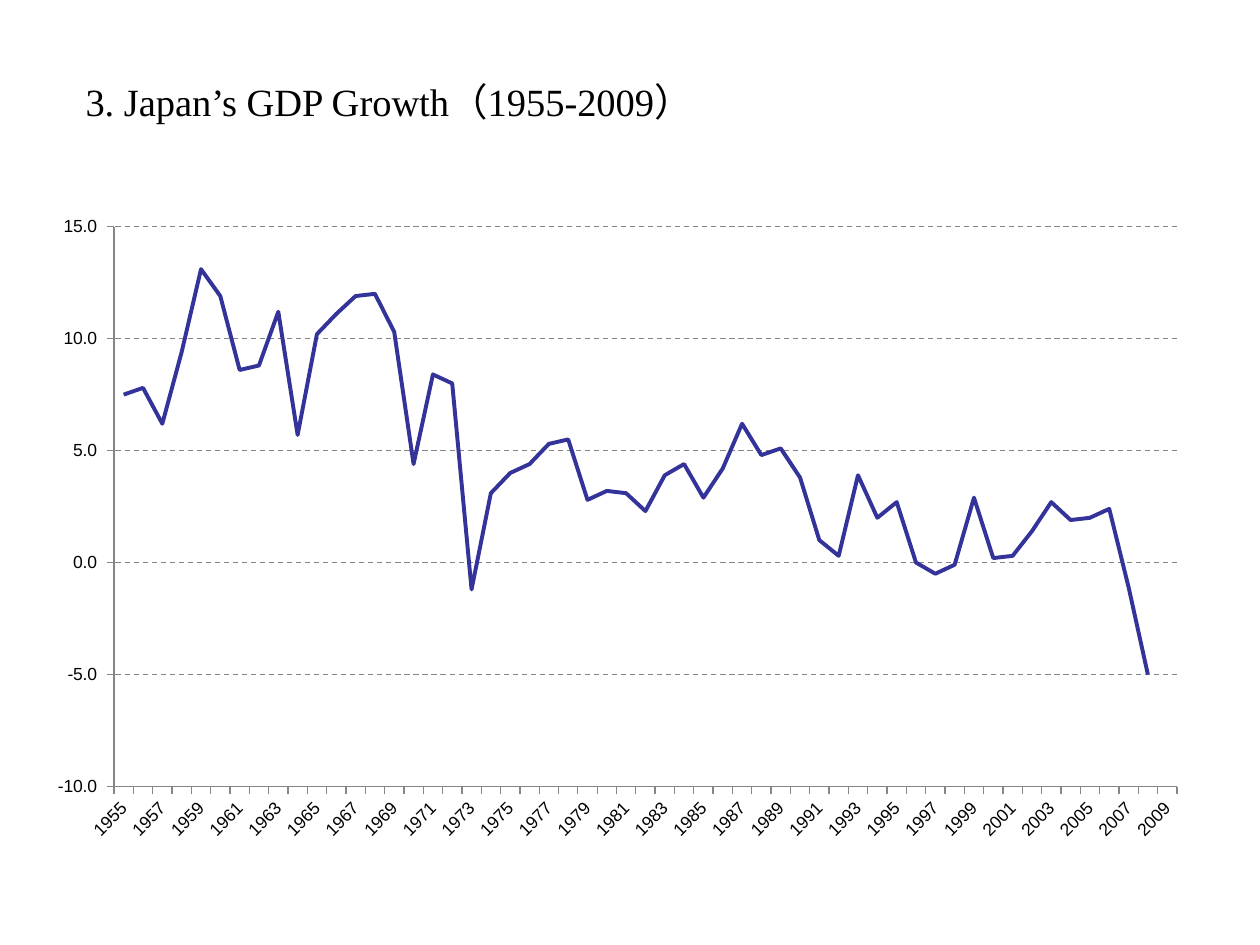
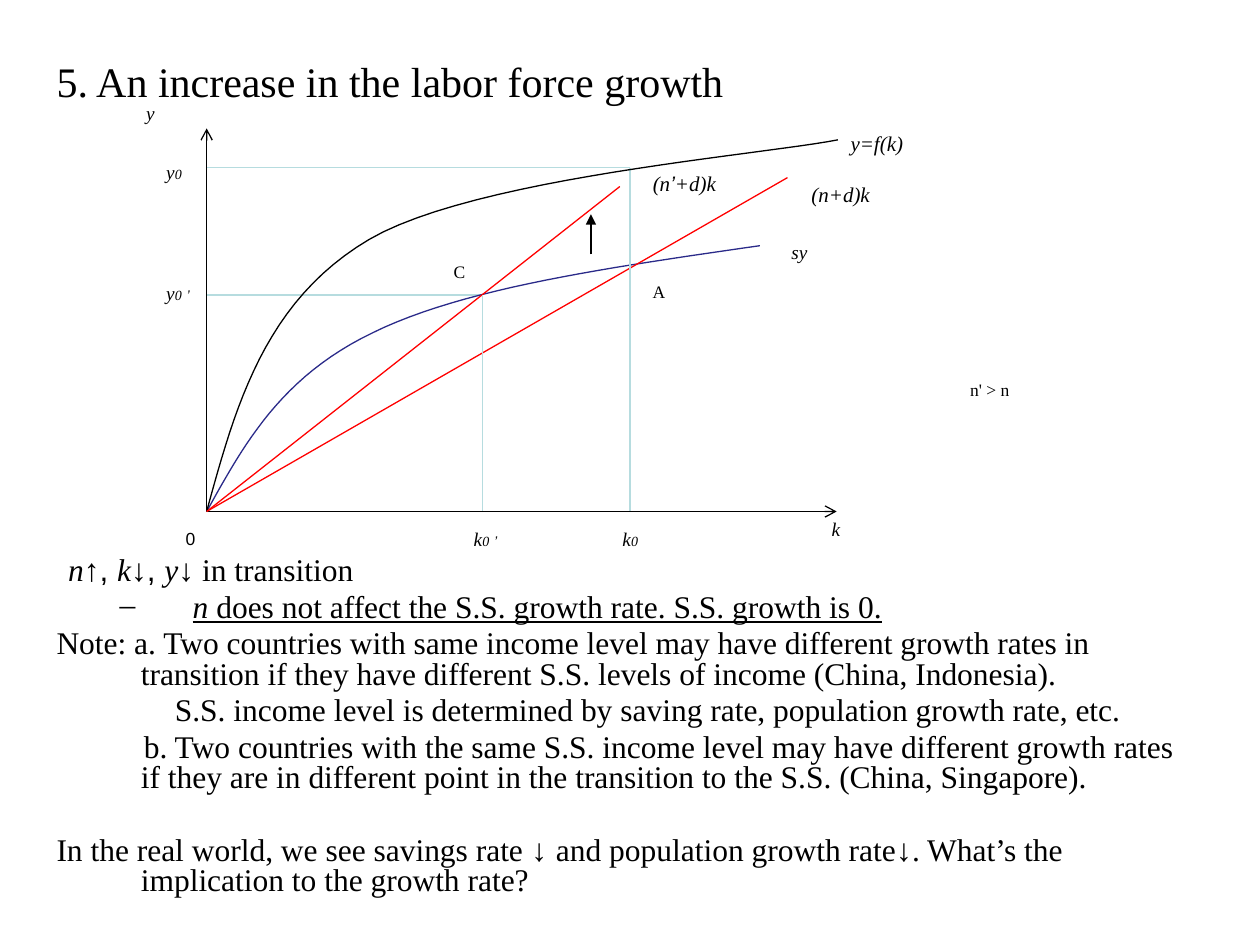
from dataclasses import dataclass
from typing import NamedTuple

from lxml.etree import SubElement
from pptx import Presentation
from pptx.chart.data import CategoryChartData
from pptx.dml.color import RGBColor
from pptx.enum.chart import XL_AXIS_CROSSES, XL_CHART_TYPE, XL_MARKER_STYLE, XL_TICK_LABEL_POSITION, XL_TICK_MARK
from pptx.enum.dml import MSO_LINE
from pptx.enum.shapes import MSO_CONNECTOR
from pptx.enum.text import MSO_ANCHOR, PP_ALIGN
from pptx.oxml import parse_xml
from pptx.oxml.ns import nsdecls, qn
from pptx.util import Pt

COLORS = {"text": "000000", "axis": "868686", "growth": "333399", "saving": "2A2A89",
          "guide": "B6DCDF", "investment": "FF0000"}
SERIF, SANS = "Times New Roman", "Arial"
NO_GRID_STYLE = "{2D5ABB26-0587-4C30-8999-92F81FD0307C}"
LINE_WIDTH = 0.75
FIRST_YEAR, LAST_YEAR = 1955, 2009
GDP_GROWTH = [
    7.5, 7.8, 6.2, 9.4, 13.1, 11.9, 8.6, 8.8, 11.2, 5.7, 10.2, 11.1, 11.9, 12, 10.3, 4.4, 8.4, 8,
    -1.2, 3.1, 4, 4.4, 5.3, 5.5, 2.8, 3.2, 3.1, 2.3, 3.9, 4.4, 2.9, 4.2, 6.2, 4.8, 5.1, 3.8,
    1, 0.3, 3.9, 2, 2.7, 0, -0.5, -0.1, 2.9, 0.2, 0.3, 1.4, 2.7, 1.9, 2, 2.4, -1.1, -5, None]

Point = tuple[float, float]


class Box(NamedTuple):
    left: float
    top: float
    width: float
    height: float


class Piece(NamedTuple):
    text: str
    size: float = 18
    font: str = SERIF
    italic: bool = False
    underline: bool = False


@dataclass
class Line:
    start: Point
    end: Point
    color: str
    arrowhead: str = ""


@dataclass
class Curve:
    points: list[Point]
    color: str


@dataclass
class Label:
    box: Box
    pieces: list[Piece]
    align: PP_ALIGN = PP_ALIGN.LEFT


@dataclass
class Note:
    pieces: list[Piece]
    margin: float = 48.2
    indent: float = -48.2
    space_before: float = 3.6
    bullet: str = ""


def rgb(name: str) -> RGBColor:
    return RGBColor.from_string(COLORS[name])


def fill_paragraph(paragraph, pieces: list[Piece]) -> None:
    for piece in pieces:
        run = paragraph.add_run()
        run.text = piece.text
        run.font.size = Pt(piece.size)
        run.font.name = piece.font
        run.font.italic = piece.italic
        run.font.underline = piece.underline
        run.font.color.rgb = rgb("text")


def add_text_frame(slide, box: Box, anchor=MSO_ANCHOR.TOP, wrap: bool = True):
    text_frame = slide.shapes.add_textbox(*map(Pt, box)).text_frame
    text_frame.word_wrap = wrap
    text_frame.vertical_anchor = anchor
    return text_frame


def add_title(slide, text: str, box: Box, size: float) -> None:
    text_frame = add_text_frame(slide, box, MSO_ANCHOR.MIDDLE)
    fill_paragraph(text_frame.paragraphs[0], [Piece(text, size)])


def add_line(slide, line: Line) -> None:
    connector = slide.shapes.add_connector(
        MSO_CONNECTOR.STRAIGHT, *map(Pt, (*line.start, *line.end)))
    connector.line.color.rgb = rgb(line.color)
    connector.line.width = Pt(LINE_WIDTH)
    if line.arrowhead:
        SubElement(connector.line._get_or_add_ln(), qn("a:tailEnd"), type=line.arrowhead)
    SubElement(connector.element.spPr, qn("a:effectLst"))


def bezier(points: list[Point], steps: int = 24) -> list[Point]:
    def blend(values, t: float) -> float:
        a, b, c, d = values
        u = 1 - t
        return a * u**3 + 3 * b * u * u * t + 3 * c * u * t * t + d * t**3

    return [tuple(blend(axis, step / steps) for axis in zip(*points)) for step in range(steps + 1)]


def add_curve(slide, curve: Curve) -> None:
    first, second = curve.points[:4], curve.points[3:]
    outline = [(Pt(x), Pt(y)) for x, y in bezier(first) + bezier(second)[1:]]
    builder = slide.shapes.build_freeform(*outline[0])
    builder.add_line_segments(outline[1:], close=False)
    shape = builder.convert_to_shape()
    shape.shadow.inherit = False
    shape.fill.background()
    shape.line.color.rgb = rgb(curve.color)
    shape.line.width = Pt(LINE_WIDTH)


def add_label(slide, label: Label) -> None:
    frame = slide.shapes.add_table(1, 1, *map(Pt, label.box))
    table = frame.table
    table.first_row = table.horz_banding = False
    next(frame.element.iter(qn("a:tableStyleId"))).text = NO_GRID_STYLE
    cell = table.cell(0, 0)
    cell.fill.background()
    cell.vertical_anchor = MSO_ANCHOR.BOTTOM
    paragraph = cell.text_frame.paragraphs[0]
    paragraph.alignment = label.align
    fill_paragraph(paragraph, label.pieces)


def add_notes(slide, box: Box, notes: list[Note]) -> None:
    text_frame = add_text_frame(slide, box)
    for index, note in enumerate(notes):
        paragraph = text_frame.add_paragraph() if index else text_frame.paragraphs[0]
        properties = paragraph._p.get_or_add_pPr()
        properties.set("marL", str(Pt(note.margin)))
        properties.set("indent", str(Pt(note.indent)))
        if note.bullet:
            paragraph.level = 1
            SubElement(properties, qn("a:buFont"), typeface=SERIF)
            SubElement(properties, qn("a:buChar"), char=note.bullet)
        paragraph.line_spacing = 0.8
        paragraph.space_before = Pt(note.space_before if index else 0)
        fill_paragraph(paragraph, note.pieces)


def style_axis(axis) -> None:
    axis.major_tick_mark = XL_TICK_MARK.OUTSIDE
    axis.minor_tick_mark = XL_TICK_MARK.NONE
    axis.format.line.color.rgb = rgb("axis")
    axis.format.line.width = Pt(LINE_WIDTH)


def add_growth_chart(slide, box: Box) -> None:
    data = CategoryChartData()
    data.categories = [str(year) for year in range(FIRST_YEAR, LAST_YEAR + 1)]
    data.add_series("Series 1", GDP_GROWTH)
    chart = slide.shapes.add_chart(XL_CHART_TYPE.LINE, *map(Pt, box), data).chart
    chart.has_legend = chart.has_title = False
    chart.font.name, chart.font.size = SANS, Pt(10)
    chart.font.color.rgb = rgb("text")

    plot = chart.plots[0]
    plot.vary_by_categories = False
    series = plot.series[0]
    series.smooth = False
    series.marker.style = XL_MARKER_STYLE.NONE
    series.format.line.color.rgb = rgb("growth")
    series.format.line.width = Pt(2.25)

    values, years = chart.value_axis, chart.category_axis
    style_axis(values)
    style_axis(years)
    values.minimum_scale, values.maximum_scale, values.major_unit = -10, 15, 5
    values.crosses = XL_AXIS_CROSSES.MINIMUM
    values.tick_labels.number_format = "0.0_ "
    values.tick_labels.number_format_is_linked = False
    gridline = values.major_gridlines.format.line
    gridline.color.rgb = rgb("axis")
    gridline.width = Pt(LINE_WIDTH)
    gridline.dash_style = MSO_LINE.DASH
    years.tick_label_position = XL_TICK_LABEL_POSITION.LOW
    years.tick_labels.font.size = Pt(10)
    axis_element = years._element
    axis_element.find(f"{qn('c:txPr')}/{qn('a:bodyPr')}").set("rot", "-2700000")
    axis_element.find(qn("c:noMultiLvlLbl")).addprevious(
        parse_xml(f'<c:tickLblSkip {nsdecls("c")} val="2"/>'))

    plot_area = plot._element.getparent()
    for layout in plot_area.findall(qn("c:layout")):
        plot_area.remove(layout)
    places = "".join(f'<c:{name} val="{value}"/>' for name, value in
                     {"x": 0.0675, "y": 0.035, "w": 0.912, "h": 0.863}.items())
    plot_area.insert(0, parse_xml(
        f'<c:layout {nsdecls("c")}><c:manualLayout><c:layoutTarget val="inner"/>'
        f'<c:xMode val="edge"/><c:yMode val="edge"/>{places}</c:manualLayout></c:layout>'))


def variable(name: str, subscript: str = "", prime: bool = False, size: float = 11) -> list[Piece]:
    pieces = [Piece(name, size, italic=True)]
    if subscript:
        pieces.append(Piece(subscript, 8, italic=True))
    if prime:
        pieces += [Piece(" ", 11, italic=True), Piece("’", 8, SANS, True)]
    return pieces


ORIGIN = (118.1, 292.3)
STEADY_K, NEW_K = 360, 275.8
STEADY_Y, NEW_Y = 95.8, 168.6
AXIS_X, AXIS_Y = ORIGIN
CELL_WIDTH = 48.2

DIAGRAM = [
    Line(ORIGIN, (AXIS_X, 73.4), "text", "arrow"),
    Line((STEADY_K, STEADY_Y), (AXIS_X, STEADY_Y), "guide"),
    Line((NEW_K, NEW_Y), (AXIS_X, NEW_Y), "guide"),
    Curve([ORIGIN, (139.7, 253.4), (160.6, 215.3), (213.1, 190.1),
           (265.7, 164.2), (349.9, 152.6), (434.2, 140.4)], "saving"),
    Line(ORIGIN, (478.1, AXIS_Y), "text", "arrow"),
    Line(ORIGIN, (450, 101.5), "investment"),
    Line((STEADY_K, STEADY_Y), (STEADY_K, AXIS_Y), "guide"),
    Curve([ORIGIN, (134.6, 231.8), (151.2, 172.1), (211, 136.8),
           (271.4, 101.5), (434.2, 88.6), (478.8, 79.9)], "text"),
    Line(ORIGIN, (354.2, 106.6), "investment"),
    Line((NEW_K, NEW_Y), (NEW_K, AXIS_Y), "guide"),
    Line((337.7, 145.4), (337.7, 122.4), "text", "triangle"),
]

LABELS = [
    Label(Box(70.6, 298.1, CELL_WIDTH, 19.4), [Piece("0", 10, SANS)], PP_ALIGN.RIGHT),
    Label(Box(76.3, 54.7, CELL_WIDTH, 20.2), variable("y")),
    Label(Box(87.8, 157, CELL_WIDTH, 20.2), variable("y", "0", True)),
    Label(Box(87.8, 82.8, 70.6, 25.9), variable("y", "0")),
    Label(Box(348.5, 298.1, CELL_WIDTH, 20.2), variable("k", "0")),
    Label(Box(263.5, 298.1, CELL_WIDTH, 20.2), variable("k", "0", True)),
    Label(Box(468, 292.3, CELL_WIDTH, 20.2), variable("k")),
    Label(Box(478.8, 65.5, CELL_WIDTH, 27.4), variable("y=f(k)", size=12)),
    Label(Box(456.5, 100.1, CELL_WIDTH, 21.6), variable("(n+d)k", size=12)),
    Label(Box(445, 133.9, CELL_WIDTH, 20.2), variable("sy")),
    Label(Box(547.2, 213.1, CELL_WIDTH, 19.4), [Piece("n' > n", 10)]),
    Label(Box(365.8, 94.3, 62.6, 21.6), [Piece("(n", 12, italic=True), Piece("’", 12, SANS, True),
                                         Piece("+d)k", 12, italic=True)]),
    Label(Box(252, 145.4, CELL_WIDTH, 19.4), [Piece("C", 10)]),
]

NOTES = [
    Note([Piece("n", italic=True), Piece("↑, ", font=SANS), Piece("k", italic=True),
          Piece("↓, ", font=SANS), Piece("y", italic=True), Piece("↓", font=SANS),
          Piece(" in transition")], 0, 6.7),
    Note([Piece("n", italic=True, underline=True),
          Piece(" does not affect the S.S. growth rate. S.S. growth is 0.", underline=True)],
         77.8, -41.8, bullet="–"),
    Note([Piece("Note: a. Two countries with same income level may have different growth rates in "
                "transition if they have different S.S. levels of income (China, Indonesia).")]),
    Note([Piece("S.S. income level is determined by saving rate, population growth rate, etc.")],
         48.2, 19.4),
    Note([Piece("b. Two countries with the same S.S. income level may have different growth rates "
                "if they are in different point in the transition to the S.S. (China, Singapore).")],
         48.2, 1.7),
    Note([Piece("In the real world, we see savings rate "), Piece("↓ ", font=SANS),
          Piece("and population growth rate"), Piece("↓", font=SANS),
          Piece(". What’s the implication to the growth rate?")], space_before=24.5),
]


def build_growth_slide(slide) -> None:
    add_title(slide, "3. Japan’s GDP Growth（1955-2009）", Box(41.8, 23.8, 648, 68.4), 22)
    add_growth_chart(slide, Box(20.2, 116.6, 666, 370.8))


def build_labor_slide(slide) -> None:
    add_title(slide, "5. An increase in the labor force growth", Box(25.2, 28, 658.8, 36), 24)
    add_notes(slide, Box(25.2, 315, 658.8, 210), NOTES)
    for part in DIAGRAM:
        (add_line if isinstance(part, Line) else add_curve)(slide, part)
    for label in LABELS:
        add_label(slide, label)
    point_a = add_text_frame(slide, Box(365.8, 157, 21.6, 19.4), wrap=False)
    fill_paragraph(point_a.paragraphs[0], [Piece("A", 10)])


def main() -> None:
    presentation = Presentation()
    presentation.slide_width, presentation.slide_height = Pt(720), Pt(540)
    for build in (build_growth_slide, build_labor_slide):
        build(presentation.slides.add_slide(presentation.slide_layouts[6]))
    presentation.save("out.pptx")


if __name__ == "__main__":
    main()
